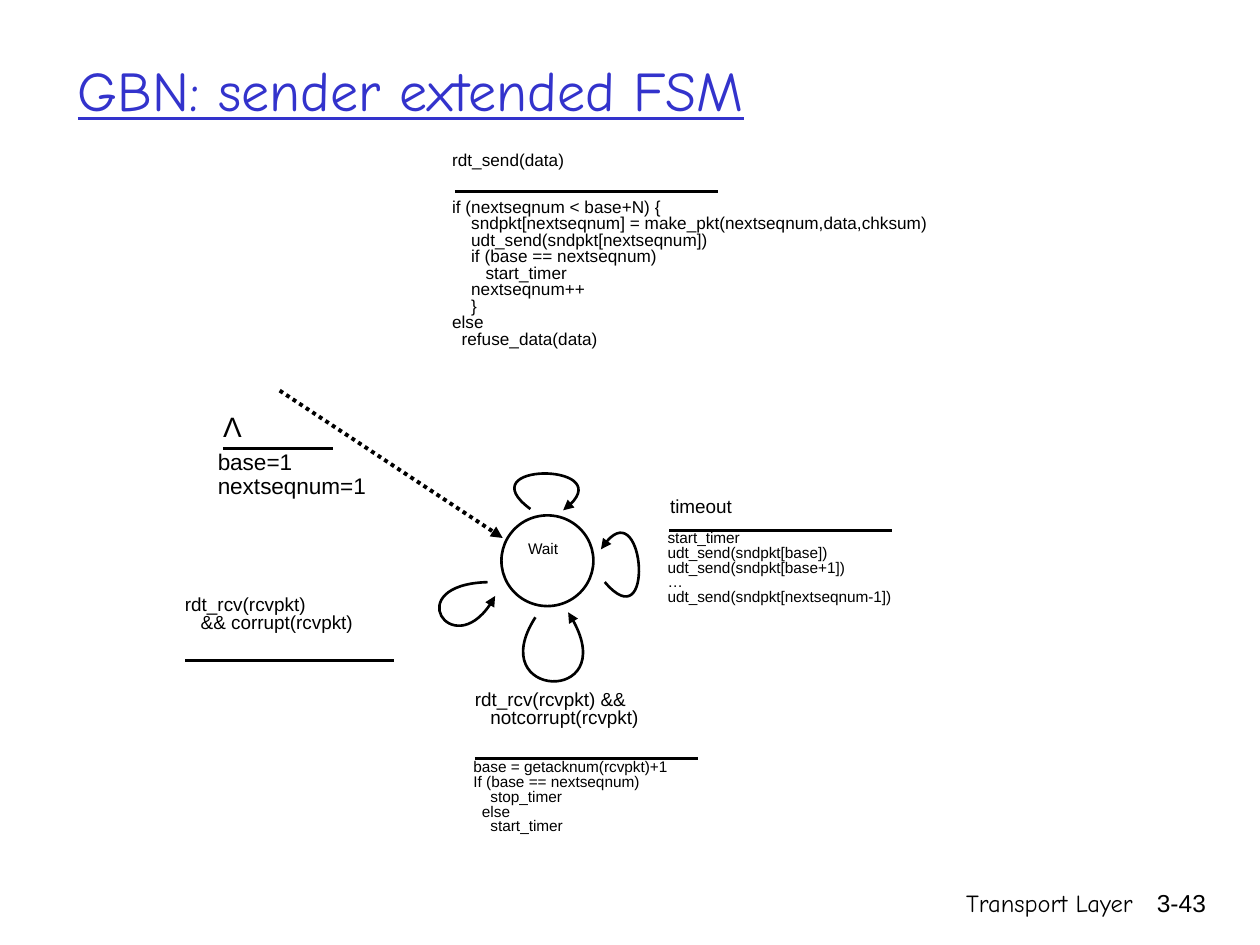
from lxml.etree import SubElement
from pptx import Presentation
from pptx.dml.color import RGBColor
from pptx.enum.dml import MSO_LINE
from pptx.enum.shapes import MSO_CONNECTOR, MSO_SHAPE
from pptx.enum.text import MSO_ANCHOR, PP_ALIGN
from pptx.oxml.ns import qn
from pptx.util import Inches, Pt

BLACK = RGBColor(0x00, 0x00, 0x00)
WHITE = RGBColor(0xFF, 0xFF, 0xFF)
BLUE = RGBColor(0x33, 0x33, 0xCC)

prs = Presentation()
prs.slide_width, prs.slide_height = Inches(10), Inches(7.5)
s = prs.slides.add_slide(prs.slide_layouts[6])


def add_text(text, x, y, w, h, size, font="Arial", color=BLACK, spacing=1.0,
             align=PP_ALIGN.LEFT, anchor=MSO_ANCHOR.TOP, underline=False, wrap=True):
    tf = s.shapes.add_textbox(Inches(x), Inches(y), Inches(w), Inches(h)).text_frame
    tf.word_wrap = wrap
    tf.vertical_anchor = anchor
    for i, line in enumerate(text.split("\n")):
        p = tf.paragraphs[0] if i == 0 else tf.add_paragraph()
        p.alignment = align
        p.line_spacing = spacing
        r = p.add_run()
        r.text = line
        r.font.name = font
        r.font.size = Pt(size)
        r.font.color.rgb = color
        r.font.underline = underline


def style_line(sp, width=1.5, arrow=False, dash=None):
    sp.line.color.rgb = BLACK
    sp.line.width = Pt(width)
    if dash:
        sp.line.dash_style = dash
    spPr = sp._element.spPr
    if arrow:
        SubElement(spPr.find(qn("a:ln")), qn("a:tailEnd"), type="triangle")
    SubElement(spPr, qn("a:effectLst"))


# Title and footer
add_text("GBN: sender extended FSM", 0.52, 0.32, 8.5, 0.77, 32, font="Comic Neue",
         color=BLUE, anchor=MSO_ANCHOR.MIDDLE, underline=True)
add_text("Transport Layer", 5.92, 7, 3.17, 0.5, 14, font="Comic Neue", align=PP_ALIGN.RIGHT)
add_text("3-43", 8.93, 7, 0.74, 0.5, 14, align=PP_ALIGN.RIGHT)

# Wait state
state = s.shapes.add_shape(MSO_SHAPE.OVAL, Inches(3.98), Inches(4.09), Inches(0.73), Inches(0.72))
state.fill.solid()
state.fill.fore_color.rgb = WHITE
style_line(state)
add_text("Wait", 3.87, 4.26, 0.88, 0.26, 8.8, spacing=0.8, align=PP_ALIGN.CENTER)

# Initial transition
start = s.shapes.add_connector(MSO_CONNECTOR.STRAIGHT, Inches(2.22), Inches(3.1),
                               Inches(3.99), Inches(4.27))
style_line(start, 2.25, arrow=True, dash=MSO_LINE.ROUND_DOT)
add_text("Λ", 1.67, 3.2, 0.35, 0.37, 16, align=PP_ALIGN.CENTER, wrap=False)
add_text("base=1\nnextseqnum=1", 1.63, 3.53, 1.62, 0.55, 12.9, spacing=0.9)

# Self-loops: start, two control points, end
LOOPS = [
    [(4.21, 4.04), (3.71, 3.67), (4.98, 3.67), (4.47, 4.05)],  # send
    [(4.8, 4.62), (5.2, 5.09), (5.11, 3.83), (4.77, 4.36)],    # timeout
    [(4.25, 4.9), (3.83, 5.55), (4.99, 5.6), (4.51, 4.86)],    # good packet
    [(3.87, 4.62), (3.17, 4.64), (3.62, 5.31), (3.93, 4.73)],  # corrupt packet
]
for loop in LOOPS:
    points = [(Inches(x), Inches(y)) for x, y in loop]
    fb = s.shapes.build_freeform(*points[0])
    fb.add_line_segments(points[1:], close=False)
    sp = fb.convert_to_shape()
    # Turn the three segments into one Bezier curve
    outline = sp._element.spPr.find(".//" + qn("a:path"))
    curve = SubElement(outline, qn("a:cubicBezTo"))
    for segment in outline.findall(qn("a:lnTo")):
        curve.append(segment[0])
        outline.remove(segment)
    sp.fill.background()
    style_line(sp, arrow=True)

# Rules between event and actions: left, right, y, width
for x1, x2, y, width in [
    (3.61, 5.7, 1.52, 2.25),
    (1.77, 2.64, 3.56, 1.5),
    (5.31, 7.08, 4.21, 1.5),
    (1.47, 3.13, 5.24, 1.5),
    (3.77, 5.54, 6.02, 2.25),
]:
    rule = s.shapes.add_connector(MSO_CONNECTOR.STRAIGHT, Inches(x1), Inches(y),
                                  Inches(x2), Inches(y))
    style_line(rule, width)

# Events and actions of the self-loops
SEND_CODE = """if (nextseqnum < base+N) {
    sndpkt[nextseqnum] = make_pkt(nextseqnum,data,chksum)
    udt_send(sndpkt[nextseqnum])
    if (base == nextseqnum)
       start_timer
    nextseqnum++
    }
else
  refuse_data(data)"""
TIMEOUT_CODE = """start_timer
udt_send(sndpkt[base])
udt_send(sndpkt[base+1])
…
udt_send(sndpkt[nextseqnum-1])"""
ACK_CODE = """base = getacknum(rcvpkt)+1
If (base == nextseqnum)
    stop_timer
  else
    start_timer"""
for text, x, y, w, h, size in [
    ("rdt_send(data)", 3.49, 1.17, 2.55, 0.28, 9.8),
    (SEND_CODE, 3.49, 1.54, 6.04, 1.6, 9.8),
    ("timeout", 5.22, 3.91, 1.2, 0.3, 10.8),
    (TIMEOUT_CODE, 5.2, 4.17, 3.04, 0.91, 8.8),
    ("rdt_rcv(rcvpkt)\n   && corrupt(rcvpkt)", 1.37, 4.69, 2.24, 0.49, 10.8),
    ("rdt_rcv(rcvpkt) &&\n   notcorrupt(rcvpkt)", 3.67, 5.44, 3.1, 0.49, 10.8),
    (ACK_CODE, 3.66, 5.99, 4.03, 0.91, 8.8),
]:
    add_text(text, x, y, w, h, size, spacing=0.8)

prs.save("out.pptx")
